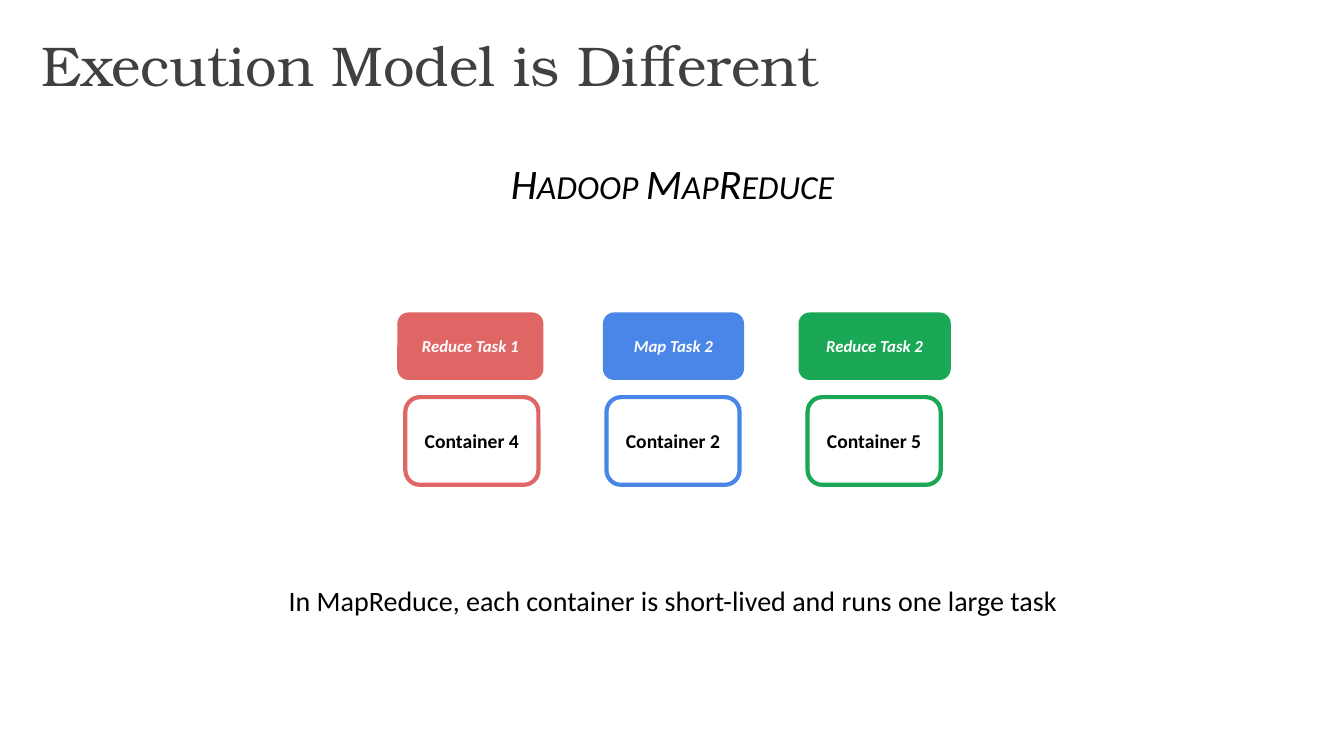
from pptx import Presentation
from pptx.dml.color import RGBColor
from pptx.enum.shapes import MSO_SHAPE
from pptx.enum.text import MSO_ANCHOR, PP_ALIGN
from pptx.util import Inches, Pt

TASKS = [
    ("Reduce Task 1", "Container 4", "E06666", 3.94, 1.45),
    ("Map Task 2", "Container 2", "4A86E8", 5.98, 1.40),
    ("Reduce Task 2", "Container 5", "1AA756", 7.92, 1.51),
]


def color(value):
    return RGBColor.from_string(value)


def write(shape, text, size, text_color="000000", font_name="Calibri", bold=False,
          italic=False, align=PP_ALIGN.CENTER, anchor=MSO_ANCHOR.TOP, insets=(0.1, 0.05)):
    frame = shape.text_frame
    frame.word_wrap = True
    frame.vertical_anchor = anchor
    frame.margin_left = frame.margin_right = Inches(insets[0])
    frame.margin_top = frame.margin_bottom = Inches(insets[1])
    paragraph = frame.paragraphs[0]
    paragraph.text = text
    paragraph.alignment = align
    font = paragraph.font
    font.name = font_name
    font.size = Pt(size)
    font.bold = bold
    font.italic = italic
    font.color.rgb = color(text_color)
    return paragraph


def add_text(slide, box, text, size, **style):
    shape = slide.shapes.add_textbox(*map(Inches, box))
    return write(shape, text, size, **style)


def add_rounded_box(slide, box, fill, line, text, size, **style):
    shape = slide.shapes.add_shape(MSO_SHAPE.ROUNDED_RECTANGLE, *map(Inches, box))
    shape.shadow.inherit = False
    shape.fill.solid()
    shape.fill.fore_color.rgb = color(fill)
    if line:
        shape.line.color.rgb = color(line)
        shape.line.width = Pt(3)
    else:
        shape.line.fill.background()
    write(shape, text, size, bold=True, anchor=MSO_ANCHOR.MIDDLE, insets=(0.1, 0.1), **style)


def add_title(slide, box):
    add_text(slide, box, "Execution Model is Different", 40, text_color="404040",
             font_name="TeX Gyre Bonum", align=PP_ALIGN.LEFT, insets=(0.13, 0.07))


def add_heading(slide, box):
    paragraph = add_text(slide, box, "Hadoop MapReduce", 30, italic=True)
    paragraph.line_spacing = 1.15
    paragraph.runs[0]._r.get_or_add_rPr().set("cap", "small")


def add_containers(slide, left, top):
    for column, (task, container, accent, task_left, task_width) in enumerate(TASKS):
        container_box = (left + column * 1.995, top + 0.84, 1.32, 0.87)
        add_rounded_box(slide, container_box, "FFFFFF", accent, container, 14)
        add_rounded_box(slide, (task_left, top, task_width, 0.67), accent, None,
                        task, 12, text_color="FFFFFF", italic=True)


def add_caption(slide, box):
    add_text(slide, box, "In MapReduce, each container is short-lived and runs one large task", 20)


def main():
    presentation = Presentation()
    presentation.slide_width = Inches(13.33)
    presentation.slide_height = Inches(7.5)
    slide = presentation.slides.add_slide(presentation.slide_layouts[6])
    add_containers(slide, 4.02, 3.1)
    add_heading(slide, (4.64, 1.44, 4.06, 0.68))
    add_caption(slide, (1.57, 5.74, 10.21, 0.44))
    add_title(slide, (0.28, 0.23, 9.36, 0.94))
    presentation.save("out.pptx")


if __name__ == "__main__":
    main()
